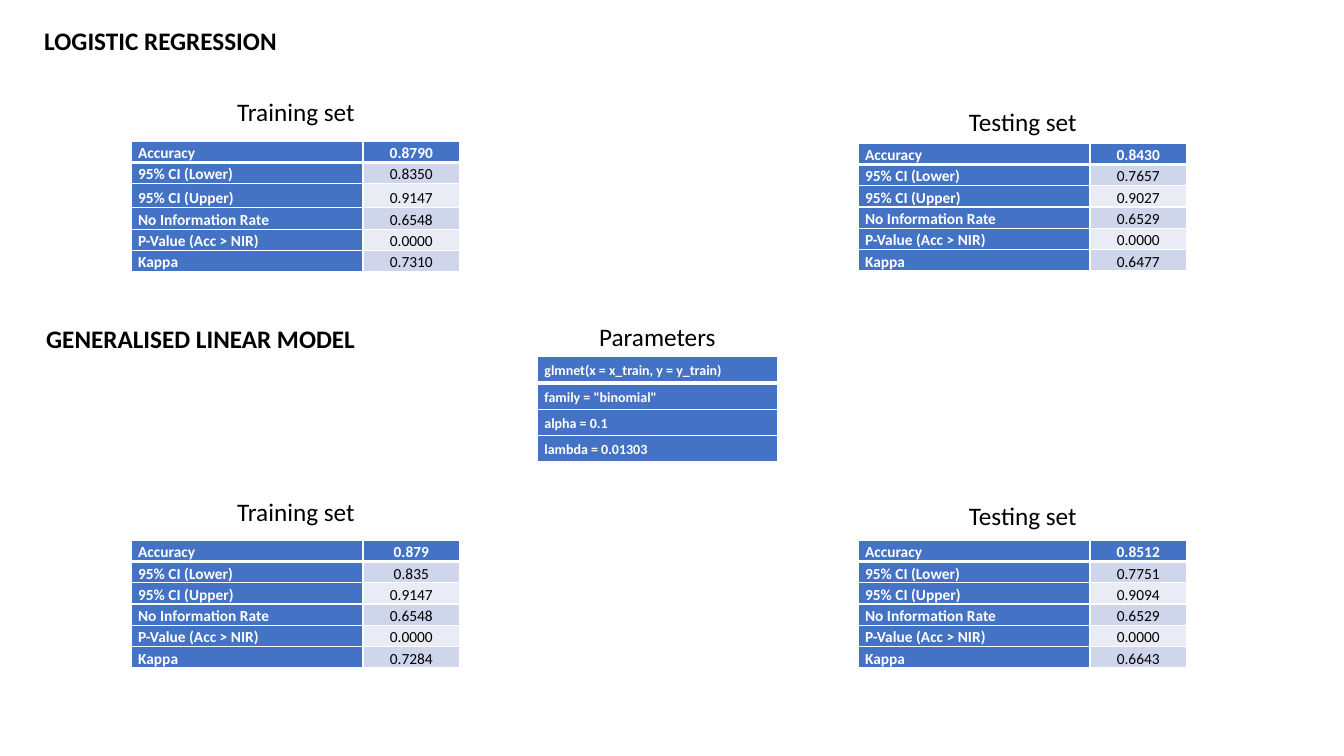
from dataclasses import dataclass
from lxml.etree import SubElement
from pptx import Presentation
from pptx.dml.color import RGBColor
from pptx.enum.text import MSO_ANCHOR, MSO_AUTO_SIZE, PP_ALIGN
from pptx.oxml.ns import qn
from pptx.util import Inches, Pt


@dataclass(frozen=True)
class Theme:
    font: str = "Calibri"
    black: str = "000000"
    white: str = "FFFFFF"
    blue: str = "4472C4"
    bands: tuple = ("E9EBF5", "CFD5EA")
    title: int = 18
    score: int = 11
    code: int = 10
    thin: int = 1
    thick: int = 3


class Page:
    def __init__(self, slide, theme):
        self.slide = slide
        self.theme = theme

    def style(self, para, size, color, bold, center):
        font = para.font
        font.name, font.size, font.bold = self.theme.font, Pt(size), bold
        font.color.rgb = RGBColor.from_string(color)
        para.alignment = PP_ALIGN.CENTER if center else PP_ALIGN.LEFT

    def label(self, text, x, y, width, height=0.4, bold=False, center=True):
        box = self.slide.shapes.add_textbox(
            Inches(x), Inches(y), Inches(width), Inches(height))
        frame = box.text_frame
        frame.word_wrap = True
        frame.auto_size = MSO_AUTO_SIZE.SHAPE_TO_FIT_TEXT
        frame.text = text
        self.style(frame.paragraphs[0], self.theme.title, self.theme.black,
                   bold, center)

    def border(self, cell, row):
        props = cell._tc.get_or_add_tcPr()
        for side in "LRTB":
            heavy = (side == "B" and row == 0) or (side == "T" and row == 1)
            width = self.theme.thick if heavy else self.theme.thin
            line = SubElement(props, qn(f"a:ln{side}"), w=str(Pt(width)))
            fill = SubElement(line, qn("a:solidFill"))
            SubElement(fill, qn("a:srgbClr"), val=self.theme.white)

    def cell(self, cell, text, row, col, size, anchor):
        theme = self.theme
        head = row == 0 or col == 0
        self.border(cell, row)
        cell.fill.solid()
        cell.fill.fore_color.rgb = RGBColor.from_string(
            theme.blue if head else theme.bands[row % 2])
        cell.margin_left = cell.margin_right = Inches(0.07)
        cell.margin_top = cell.margin_bottom = 0
        cell.vertical_anchor = anchor
        cell.text = text
        para = cell.text_frame.paragraphs[0]
        para.line_spacing, para.space_after = 1.15, Pt(10)
        self.style(para, size, theme.white if head else theme.black,
                   head, col > 0)

    def table(self, rows, x, y, widths, heights, size, anchor):
        shape = self.slide.shapes.add_table(
            len(rows), len(widths), Inches(x), Inches(y),
            Inches(sum(widths)), Inches(sum(heights)))
        grid = shape.table
        grid.first_col = True
        for col, width in zip(grid.columns, widths):
            col.width = Inches(width)
        for row, height in zip(grid.rows, heights):
            row.height = Inches(height)
        for i, row in enumerate(rows):
            for j, text in enumerate(row):
                self.cell(grid.cell(i, j), text, i, j, size, anchor)


LEFT, RIGHT, MID = 1.3, 8.51, 5.33
WIDE, SLIM = 3.27, 2.38
NAMES = ("Accuracy", "95% CI (Lower)", "95% CI (Upper)",
         "No Information Rate", "P-Value (Acc > NIR)", "Kappa")
EVEN = (0.2,) * len(NAMES)
TALL = (0.2, 0.2, 0.24, 0.2, 0.2, 0.2)

# Caption, left, caption top, table top, row heights, values
SETS = (
    ("Training set", LEFT, 0.91, 1.4, TALL,
     ("0.8790", "0.8350", "0.9147", "0.6548", "0.0000", "0.7310")),
    ("Testing set", RIGHT, 1.01, 1.42, EVEN,
     ("0.8430", "0.7657", "0.9027", "0.6529", "0.0000", "0.6477")),
    ("Training set", LEFT, 4.87, 5.36, EVEN,
     ("0.879", "0.835", "0.9147", "0.6548", "0.0000", "0.7284")),
    ("Testing set", RIGHT, 4.91, 5.36, EVEN,
     ("0.8512", "0.7751", "0.9094", "0.6529", "0.0000", "0.6643")),
)
CODE = ("glmnet(x = x_train, y = y_train)", 'family = "binomial"',
        "alpha = 0.1", "lambda = 0.01303")


def main():
    deck = Presentation()
    deck.slide_width, deck.slide_height = Inches(13.33), Inches(7.5)
    theme = Theme()
    page = Page(deck.slides.add_slide(deck.slide_layouts[6]), theme)

    # Model headings
    page.label("LOGISTIC REGRESSION", 0.34, 0.2, 3.78, 0.71,
               bold=True, center=False)
    page.label("GENERALISED LINEAR MODEL", 0.36, 3.16, 3.78,
               bold=True, center=False)

    # Scores of each model on each set
    for text, x, top, y, heights, values in SETS:
        page.label(text, x, top, WIDE)
        page.table(list(zip(NAMES, values)), x, y, (2.3, 0.96), heights,
                   theme.score, MSO_ANCHOR.BOTTOM)

    # Model parameters
    page.label("Parameters", MID, 3.14, SLIM)
    page.table([(line,) for line in CODE], MID, 3.54, (SLIM,),
               (0.26,) * len(CODE), theme.code, MSO_ANCHOR.MIDDLE)

    deck.save("out.pptx")


if __name__ == "__main__":
    main()
